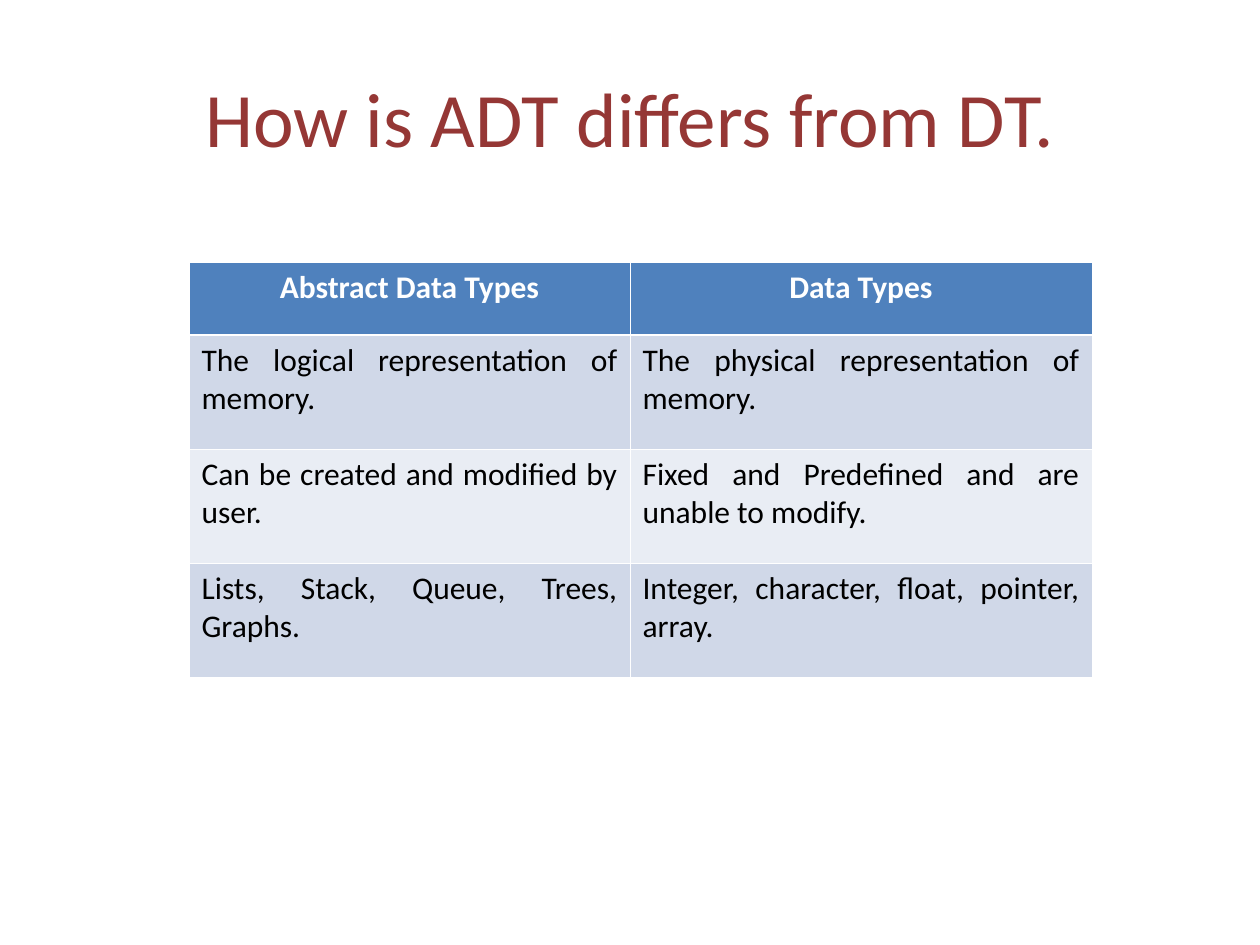
import pptx
import pptx.util
import pptx.dml.color
import pptx.enum.text
import lxml.etree

PX = 914400 / 126
WHITE = pptx.dml.color.RGBColor(0xFF, 0xFF, 0xFF)
BLACK = pptx.dml.color.RGBColor(0x00, 0x00, 0x00)
DARK_RED = pptx.dml.color.RGBColor(0x95, 0x37, 0x35)
HEADER_BLUE = pptx.dml.color.RGBColor(0x4F, 0x81, 0xBD)
BAND_DARK = pptx.dml.color.RGBColor(0xD0, 0xD8, 0xE8)
BAND_LIGHT = pptx.dml.color.RGBColor(0xE9, 0xED, 0xF4)
ALIGN = pptx.enum.text.PP_ALIGN
DRAWING = "http://schemas.openxmlformats.org/drawingml/2006/main"

COLUMN_WIDTHS = [441, 462]
ROW_HEIGHTS = [73, 114, 114, 114]
ROWS = [
    ("Abstract Data Types", "Data Types"),
    ("The logical representation of memory.", "The physical representation of memory."),
    ("Can be created and modified by user.", "Fixed and Predefined and are unable to modify."),
    ("Lists, Stack, Queue, Trees, Graphs.", "Integer, character, float, pointer, array."),
]
ROW_FILLS = [HEADER_BLUE, BAND_DARK, BAND_LIGHT, BAND_DARK]


def px(*lengths):
    return [pptx.util.Emu(round(length * PX)) for length in lengths]


def write(text_frame, text, alignment, color, format_values):
    text_frame.text = text
    paragraph = text_frame.paragraphs[0]
    paragraph.alignment = alignment
    font = paragraph.runs[0].font
    font.color.rgb = color
    for name, value in format_values.items():
        setattr(font, name, value)


presentation = pptx.Presentation()
presentation.slide_width, presentation.slide_height = px(1260, 945)
slide = presentation.slides.add_slide(presentation.slide_layouts[5])

title = slide.shapes.title
title.left, title.top, title.width, title.height = px(63, 38, 1134, 158)
title.text_frame.vertical_anchor = pptx.enum.text.MSO_ANCHOR.MIDDLE
write(title.text_frame, "How is ADT differs from DT.", ALIGN.CENTER, DARK_RED,
      {"name": "Calibri", "size": pptx.util.Pt(44)})

table = slide.shapes.add_table(
    len(ROWS), len(COLUMN_WIDTHS), *px(189, 262, sum(COLUMN_WIDTHS), sum(ROW_HEIGHTS))
).table
for column, width in zip(table.columns, px(*COLUMN_WIDTHS)):
    column.width = width
for row, height in zip(table.rows, px(*ROW_HEIGHTS)):
    row.height = height

for row_index, (texts, row_fill) in enumerate(zip(ROWS, ROW_FILLS)):
    is_header = row_index == 0
    border_widths = {
        "lnL": 0.45,
        "lnR": 0.45,
        "lnT": 1.47 if row_index == 1 else 0.45,
        "lnB": 1.47 if is_header else 0.45,
    }
    for column_index, text in enumerate(texts):
        cell = table.cell(row_index, column_index)
        write(cell.text_frame, text,
              ALIGN.CENTER if is_header else ALIGN.JUSTIFY,
              WHITE if is_header else BLACK,
              {"name": "Calibri", "size": pptx.util.Pt(18), "bold": is_header})
        properties = cell._tc.get_or_add_tcPr()
        for side, width in border_widths.items():
            line = lxml.etree.SubElement(
                properties, f"{{{DRAWING}}}{side}", w=str(pptx.util.Pt(width)))
            line_fill = lxml.etree.SubElement(line, f"{{{DRAWING}}}solidFill")
            lxml.etree.SubElement(line_fill, f"{{{DRAWING}}}srgbClr", val=str(WHITE))
        cell.fill.solid()
        cell.fill.fore_color.rgb = row_fill

presentation.save("out.pptx")
